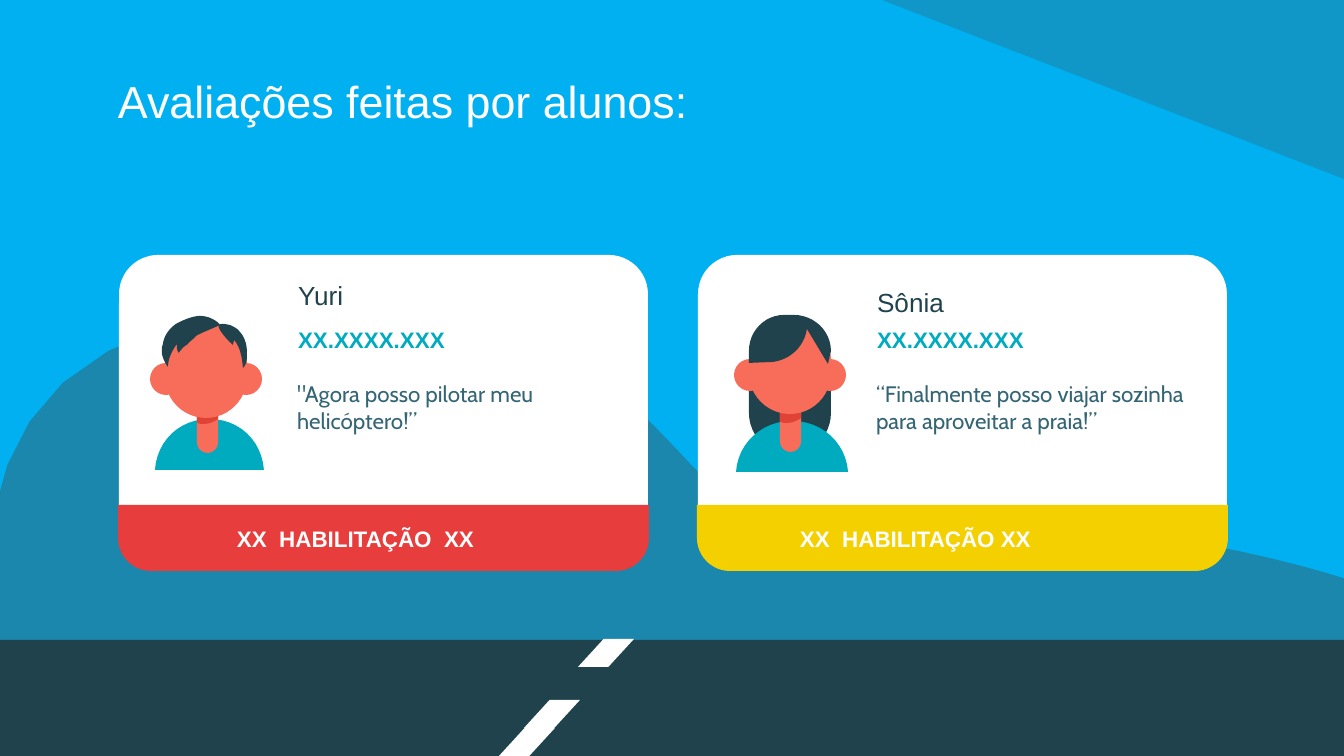
from lxml import etree
from pptx import Presentation
from pptx.dml.color import RGBColor
from pptx.enum.shapes import MSO_SHAPE
from pptx.enum.text import MSO_ANCHOR, MSO_AUTO_SIZE, PP_ALIGN
from pptx.oxml.ns import qn
from pptx.util import Emu, Pt

RECT = MSO_SHAPE.RECTANGLE
ROUND = MSO_SHAPE.ROUNDED_RECTANGLE
ROUND_SIDE = MSO_SHAPE.ROUND_2_SAME_RECTANGLE
OVAL = MSO_SHAPE.OVAL
SLANTED = MSO_SHAPE.PARALLELOGRAM
TRIANGLE = MSO_SHAPE.RIGHT_TRIANGLE
TOP, MIDDLE, BOTTOM = MSO_ANCHOR.TOP, MSO_ANCHOR.MIDDLE, MSO_ANCHOR.BOTTOM
LEFT = PP_ALIGN.LEFT
FIXED = MSO_AUTO_SIZE.NONE

PX = 914400 / 134.4
CURVE_STEPS = 12
SKY, SHADE, DARK, WHITE = "00B0F0", "336574", "1F424C", "FFFFFF"
TEAL, SKIN, SKIN_SHADE = "00ABBF", "F76D59", "E04336"
RED, YELLOW = "E83D3D", "F4D000"

HILL = [(315, 312), (504, 312, 603, 376, 650, 422), (712, 482, 731, 530, 844, 530),
        (863, 530, 884, 528, 917, 526), (938, 524, 960, 523, 980, 523),
        (1185, 523, 1352, 581, 1352, 581), (1351, 673), (4, 685),
        (4, 685, -102, 340, 249, 314), (272, 313, 293, 312, 315, 312)]
NECK_SHADOW = [(0, 0), (0, 20), (1, 22, 4, 22, 7, 22), (12, 22, 17, 20, 21, 17), (21, 0)]
SHORT_HAIR = [(50, 0), (44, 0, 35, 3, 26, 8), (19, 13, 14, 20, 13, 28),
              (10, 36, 13, 44, 18, 51), (18, 43, 22, 35, 27, 28),
              (27, 32, 27, 35, 29, 37), (29, 36, 35, 29, 37, 29),
              (40, 25, 44, 23, 46, 20), (53, 16, 62, 13, 70, 9), (70, 8, 62, 0, 50, 0)]
SIDE_HAIR = [(73, 8), (72, 8, 70, 8, 69, 9), (66, 12, 80, 27, 83, 29),
             (83, 28, 84, 25, 84, 24), (91, 32, 92, 43, 93, 52),
             (97, 48, 97, 43, 97, 37), (97, 29, 95, 21, 89, 15),
             (88, 13, 84, 11, 80, 9), (78, 9, 76, 8, 73, 8)]
LONG_HAIR = [(50, 0), (31, 0, 15, 16, 15, 36), (15, 48), (39, 47),
             (55, 45, 70, 33, 73, 14), (94, 49), (97, 36), (97, 16, 80, 0, 60, 0)]

CARDS = [
    dict(x=118, name="Yuri", name_y=11, code="XX.XXXX.XXX",
         quote="\"Agora posso pilotar meu helicóptero!”", band=RED,
         licence="XX  HABILITAÇÃO  XX", licence_x=39,
         person=dict(x=32, y=61, face_y=0, shoulders=(5, 103, 109),
                     hair=[SHORT_HAIR, SIDE_HAIR], long_hair=False)),
    dict(x=697, name="Sônia", name_y=18, code="XX.XXXX.XXX",
         quote="“Finalmente posso viajar sozinha para aproveitar a praia!”", band=YELLOW,
         licence="XX  HABILITAÇÃO XX", licence_x=23,
         person=dict(x=37, y=60, face_y=-3, shoulders=(2, 106, 112),
                     hair=[LONG_HAIR], long_hair=True)),
]


def px(length):
    """Turn pixels into EMU."""
    return Emu(round(length * PX))


def rgb(colour):
    """Turn a hex string into a colour."""
    return RGBColor.from_string(colour)


def paint(shape, colour, alpha=None):
    """Give a shape a plain fill, with optional opacity in percent."""
    shape.shadow.inherit = False
    shape.line.fill.background()
    shape.fill.solid()
    shape.fill.fore_color.rgb = rgb(colour)
    if alpha is not None:
        fill_colour = shape.element.spPr.find(qn("a:solidFill"))[0]
        etree.SubElement(fill_colour, qn("a:alpha"), val=str(alpha * 1000))


def add_preset(slide, kind, box, colour, adjustments=(), alpha=None):
    """Add a filled preset shape in a pixel box."""
    shape = slide.shapes.add_shape(kind, *map(px, box))
    for index, value in enumerate(adjustments):
        shape.adjustments[index] = value
    paint(shape, colour, alpha)
    return shape


def flatten(outline):
    """Turn points and cubic curves into a list of points."""
    points = [outline[0]]
    for segment in outline[1:]:
        if len(segment) == 2:
            points.append(segment)
            continue
        x0, y0 = points[-1]
        x1, y1, x2, y2, x3, y3 = segment
        for step in range(1, CURVE_STEPS + 1):
            t = step / CURVE_STEPS
            a, b, c, d = (1 - t) ** 3, 3 * t * (1 - t) ** 2, 3 * t * t * (1 - t), t ** 3
            points.append((a * x0 + b * x1 + c * x2 + d * x3,
                           a * y0 + b * y1 + c * y2 + d * y3))
    return points


def add_outline(slide, x, y, outline, colour, alpha=None):
    """Add a filled freeform whose outline is relative to a point."""
    points = [(px(x + dx), px(y + dy)) for dx, dy in flatten(outline)]
    builder = slide.shapes.build_freeform(*points[0])
    builder.add_line_segments(points[1:], close=True)
    paint(builder.convert_to_shape(), colour, alpha)


def write(holder, text, size, colour, font="Arial", bold=False, anchor=TOP, indent=0):
    """Write one left-aligned paragraph into a text holder."""
    frame = holder.text_frame
    frame.word_wrap = True
    frame.auto_size = FIXED
    frame.vertical_anchor = anchor
    frame.margin_left = frame.margin_right = px(13)
    frame.margin_top = frame.margin_bottom = px(13)
    frame.text = text
    line = frame.paragraphs[0]
    line.alignment = LEFT
    line.space_before = Pt(0)
    properties = line._p.get_or_add_pPr()
    properties.set("marL", str(px(indent)))
    properties.set("indent", "0")
    etree.SubElement(properties, qn("a:buNone"))
    line.font.size = Pt(size)
    line.font.name = font
    line.font.bold = bold
    line.font.color.rgb = rgb(colour)


def place(holder, box):
    """Move a placeholder to a pixel box, in front of the other shapes."""
    holder.left, holder.top, holder.width, holder.height = map(px, box)
    holder.element.getparent().append(holder.element)
    return holder


def add_scenery(slide, width, height):
    """Draw the sky, the hill and the road."""
    slide.background.fill.solid()
    slide.background.fill.fore_color.rgb = rgb(SKY)
    corner = add_preset(slide, TRIANGLE, (width - 462, 0, 462, 179), SHADE, alpha=32)
    corner.rotation = 180
    add_outline(slide, 0, 0, HILL, SHADE, alpha=54)
    add_preset(slide, RECT, (0, 640, width, height - 640), DARK)
    for x, y in [(578, 639), (524, 700), (499, 728)]:
        add_preset(slide, SLANTED, (x, y, 56, 28), WHITE, [0.915])


def add_person(slide, x, y, face_y, shoulders, hair, long_hair):
    """Draw a simple bust from its top left corner."""
    left, top, width = shoulders
    half = width / 2
    torso = [(half, 0), (half - 30, 0, 2, 22, 0, 51), (width, 51),
             (width - 2, 22, half + 30, 0, half, 0)]
    neck_x = x + left + width // 2 - 12
    face_y += y
    if long_hair:
        add_preset(slide, ROUND_SIDE, (x + 15, y + 48, 82, 91), DARK, [0, 0.5])
    add_outline(slide, x + left, y + top, torso, TEAL)
    add_preset(slide, ROUND_SIDE, (neck_x, y + 86, 21, 51), SKIN, [0, 0.5])
    add_outline(slide, neck_x, y + 86, NECK_SHADOW, SKIN_SHADE)
    add_preset(slide, ROUND, (x + 15, face_y + 7, 82, 95), SKIN, [0.5])
    for ear_x in (0, 80):
        add_preset(slide, OVAL, (x + ear_x, face_y + 47, 32, 32), SKIN)
    for lock in hair:
        add_outline(slide, x, y, lock, DARK)


def add_card(slide, x, y, card, name, quote):
    """Draw one student's review card."""
    add_preset(slide, ROUND, (x + 1, y, 529, 316), WHITE, [0.124])
    add_preset(slide, ROUND_SIDE, (x, y + 250, 531, 66), card["band"], [0, 0.5])
    licence = slide.shapes.add_textbox(
        *map(px, (x + card["licence_x"], y + 254, 531, 56)))
    write(licence, card["licence"], 12, WHITE, bold=True, anchor=BOTTOM, indent=67)
    person = card["person"]
    add_person(slide, **{**person, "x": x + person["x"], "y": y + person["y"]})
    write(place(name, (x + 167, y + card["name_y"], 366, 48)), card["name"], 14, DARK)
    code = slide.shapes.add_textbox(*map(px, (x + 167, y + 55, 366, 56)))
    write(code, card["code"], 12, TEAL, bold=True, anchor=BOTTOM)
    write(place(quote, (x + 166, y + 112, 350, 142)), card["quote"], 12, SHADE, "Cabin")


def main():
    """Build the slide and save it."""
    deck = Presentation()
    deck.slide_width, deck.slide_height = px(1344), px(756)
    slide = deck.slides.add_slide(deck.slide_layouts[4])
    title, *fields = slide.placeholders
    add_scenery(slide, 1344, 756)
    write(place(title, (105, 58, 1134, 85)), "Avaliações feitas por alunos:", 24, WHITE,
          anchor=MIDDLE)
    for card, name, quote in zip(CARDS, fields[::2], fields[1::2]):
        add_card(slide, card["x"], 255, card, name, quote)
    deck.save("out.pptx")


if __name__ == "__main__":
    main()
